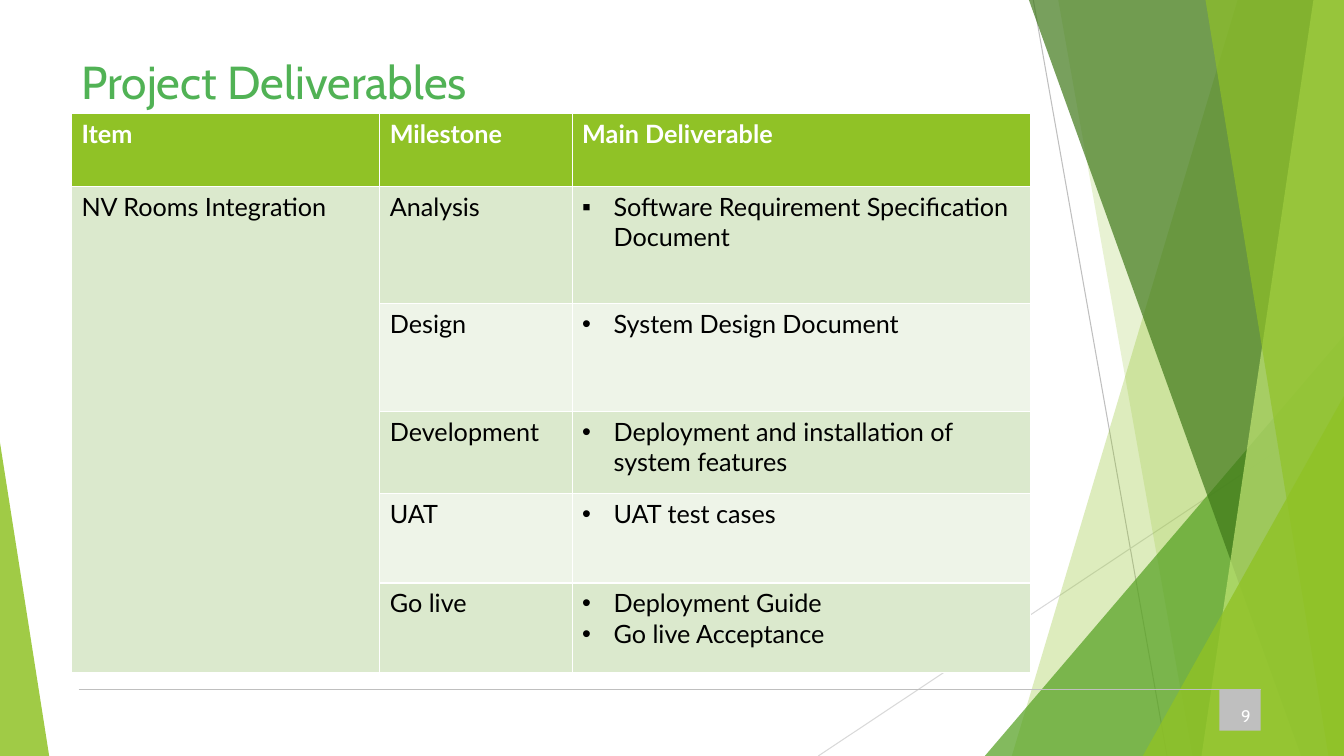
from dataclasses import dataclass

from lxml import etree
from pptx import Presentation
from pptx import util as u
from pptx.dml import color, fill
from pptx.enum import shapes, text
from pptx.oxml import ns
from pptx.shapes import autoshape
from pptx.text import text as txt

WIDTH, HEIGHT = 33.87, 19.05
WHITE, BLACK, GREY, LIME = "FFFFFF", "000000", "BFBFBF", "90C226"
BANDS = ("DBE9CD", "EEF4E8")
COLUMN_WIDTHS = (7.77, 4.85, 11.56)
HEADINGS = ("Item", "Milestone", "Main Deliverable")
HEADER_HEIGHT = 1.83


@dataclass
class Facet:
    top_x: float
    bottom_x: float
    hue: str
    opacity: int


@dataclass
class Wedge:
    left: float
    top: float
    width: float
    apex: float
    hue: str
    opacity: int


@dataclass
class Rule:
    start: tuple[float, float]
    end: tuple[float, float]
    hue: str
    weight: float


@dataclass
class Milestone:
    name: str
    deliverables: tuple[str, ...]
    height: float
    bullet: str = "•"


DECORATION = (
    Rule((26.04, 0), (29.41, HEIGHT), GREY, 0.75),
    Rule((WIDTH, 10.24), (20.62, HEIGHT), "D9D9D9", 0.75),
    Facet(31.19, 25.5, LIME, 30),
    Facet(26.67, 30.05, LIME, 20),
    Wedge(24.82, 8.46, 9.05, 1, "54A021", 72),
    Facet(25.93, 32.79, "3F7819", 70),
    Facet(33.1, 30.28, "C0E474", 70),
    Facet(30.38, 33.48, LIME, 65),
    Wedge(28.8, 9.98, 5.07, 1, LIME, 80),
    Wedge(0, 11.15, 1.24, 0, LIME, 85),
    Rule((1.98, 17.37), (31.78, 17.37), GREY, 1),
)
MILESTONES = (
    Milestone("Analysis", ("Software Requirement Specification Document",), 2.95, "▪"),
    Milestone("Design", ("System Design Document",), 2.72),
    Milestone("Development", ("Deployment and installation of system features",), 2.06),
    Milestone("UAT", ("UAT test cases",), 2.26),
    Milestone("Go live", ("Deployment Guide", "Go live Acceptance"), 2.26),
)


def rgb(hue: str) -> color.RGBColor:
    return color.RGBColor.from_string(hue)


def paint(area: fill.FillFormat, hue: str) -> None:
    area.solid()
    area.fore_color.rgb = rgb(hue)


def finish(shape: autoshape.Shape, hue: str, opacity: int = 100) -> None:
    shape.shadow.inherit = False
    shape.line.fill.background()
    paint(shape.fill, hue)
    if opacity < 100:
        tint = shape._element.spPr.find(".//" + ns.qn("a:srgbClr"))
        etree.SubElement(tint, ns.qn("a:alpha"), val=str(opacity * 1000))


def draw(slide, part: Facet | Wedge | Rule) -> None:
    if isinstance(part, Rule):
        line = slide.shapes.add_connector(
            shapes.MSO_CONNECTOR.STRAIGHT, *map(u.Cm, part.start + part.end))
        line.line.color.rgb = rgb(part.hue)
        line.line.width = u.Pt(part.weight)
        etree.SubElement(line._element.spPr, ns.qn("a:effectLst"))
    elif isinstance(part, Facet):
        outline = slide.shapes.build_freeform(u.Cm(part.top_x), 0)
        corners = ((WIDTH, 0), (WIDTH, HEIGHT), (part.bottom_x, HEIGHT))
        outline.add_line_segments([(u.Cm(x), u.Cm(y)) for x, y in corners])
        finish(outline.convert_to_shape(), part.hue, part.opacity)
    else:
        wedge = slide.shapes.add_shape(
            shapes.MSO_SHAPE.ISOSCELES_TRIANGLE, u.Cm(part.left), u.Cm(part.top),
            u.Cm(part.width), u.Cm(HEIGHT - part.top))
        wedge.adjustments[0] = part.apex
        finish(wedge, part.hue, part.opacity)


def style(frame: txt.TextFrame, font: str, size: float, hue: str, bold: bool = False) -> None:
    for paragraph in frame.paragraphs:
        for run in paragraph.runs:
            run.font.name = font
            run.font.size = u.Pt(size)
            run.font.bold = bold
            run.font.color.rgb = rgb(hue)


def fill_cell(cell, words: str, hue: str, ink: str = BLACK, bold: bool = False) -> None:
    cell.text_frame.text = words
    paint(cell.fill, hue)
    style(cell.text_frame, "Lato", 18, ink, bold)


def add_bullets(frame: txt.TextFrame, bullet: str) -> None:
    for paragraph in frame.paragraphs:
        properties = paragraph._p.get_or_add_pPr()
        properties.set("marL", str(u.Cm(0.79)))
        properties.set("indent", str(u.Cm(-0.79)))
        etree.SubElement(properties, ns.qn("a:buFont"), typeface="Arial")
        etree.SubElement(properties, ns.qn("a:buChar"), char=bullet)


def add_title(slide) -> None:
    title = slide.shapes.title
    title.left, title.top, title.width, title.height = map(u.Cm, (1.8, 1.22, 31.17, 1.68))
    frame = title.text_frame
    frame.text = "Project Deliverables"
    frame.vertical_anchor = text.MSO_ANCHOR.TOP
    frame.paragraphs[0].alignment = text.PP_ALIGN.LEFT
    style(frame, "Cabin", 33, "51B255")
    slide.shapes._spTree.append(title._element)


def add_page_number(slide) -> None:
    badge = slide.shapes.add_shape(
        shapes.MSO_SHAPE.RECTANGLE, *map(u.Cm, (30.73, 17.37, 1.04, 1.04)))
    finish(badge, GREY)
    number = slide.shapes.add_textbox(*map(u.Cm, (30.73, 17.53, 1.04, 1.04)))
    frame = number.text_frame
    frame.word_wrap = True
    frame.text = "9"
    frame.vertical_anchor = text.MSO_ANCHOR.MIDDLE
    frame.paragraphs[0].alignment = text.PP_ALIGN.RIGHT
    style(frame, "Cabin", 12, WHITE)


def add_deliverables(slide) -> None:
    heights = [HEADER_HEIGHT] + [milestone.height for milestone in MILESTONES]
    deliverables = slide.shapes.add_table(
        len(heights), len(HEADINGS), u.Cm(1.8), u.Cm(2.87),
        u.Cm(sum(COLUMN_WIDTHS)), u.Cm(sum(heights))).table
    for column, width in zip(deliverables.columns, COLUMN_WIDTHS):
        column.width = u.Cm(width)
    for row, height in zip(deliverables.rows, heights):
        row.height = u.Cm(height)
    for index, heading in enumerate(HEADINGS):
        fill_cell(deliverables.cell(0, index), heading, LIME, WHITE, True)
    for index, milestone in enumerate(MILESTONES):
        band = BANDS[index % 2]
        _, stage, outputs = deliverables.rows[index + 1].cells
        fill_cell(stage, milestone.name, band)
        fill_cell(outputs, "\n".join(milestone.deliverables), band)
        add_bullets(outputs.text_frame, milestone.bullet)
    item = deliverables.cell(1, 0)
    item.merge(deliverables.cell(len(MILESTONES), 0))
    fill_cell(item, "NV Rooms Integration", BANDS[0])


def main() -> None:
    deck = Presentation()
    deck.slide_width, deck.slide_height = u.Cm(WIDTH), u.Cm(HEIGHT)
    slide = deck.slides.add_slide(deck.slide_layouts[5])
    for part in DECORATION:
        draw(slide, part)
    add_title(slide)
    add_page_number(slide)
    add_deliverables(slide)
    deck.save("out.pptx")


if __name__ == "__main__":
    main()
